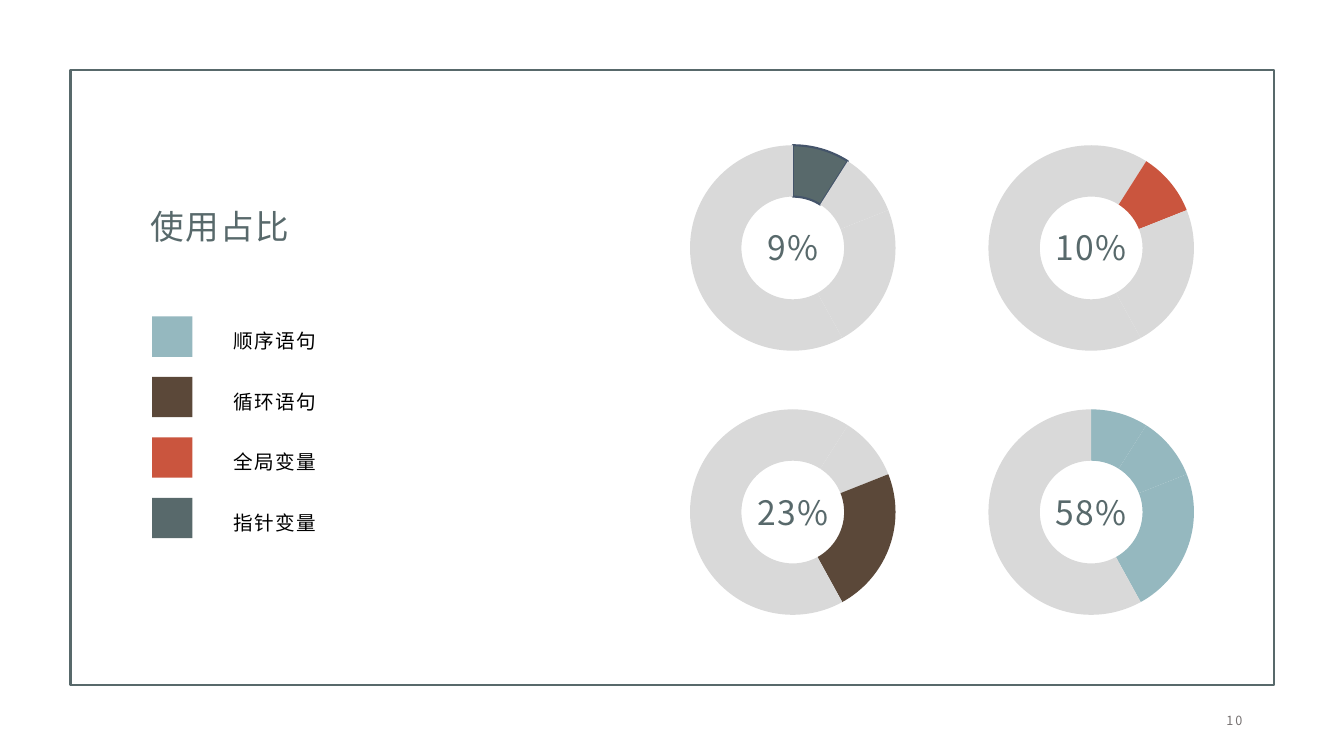
import pptx
import pptx.chart.data
import pptx.dml.color
import pptx.enum.chart
import pptx.enum.shapes
import pptx.enum.text
import pptx.oxml
import pptx.oxml.ns
import pptx.util
from pptx.util import Inches

THEME = {
    "font": "Noto Sans CJK SC",
    "slate": "58696B", "blue": "95B8BF", "brown": "5B4839", "red": "CA553E",
    "grey": "D9D9D9", "edge": "44546A", "black": "000000", "muted": "767171",
    "heading_size": 24, "label_size": 14, "number_size": 9, "chart_size": 10,
}
TITLE = "使用占比"
PAGE_NUMBER = "10"
LEGEND = [("顺序语句", "blue"), ("循环语句", "brown"), ("全局变量", "red"), ("指针变量", "slate")]
CATEGORIES = ["1", "2", "3", "4"]
SHARES = [9, 10, 23, 58]
# column, row, centre text, slice colours, edge colour of the first slice
DONUTS = [
    (0, 0, "9%", ["slate", "grey", "grey", "grey"], "edge"),
    (1, 0, "10%", ["grey", "red", "grey", "grey"], None),
    (0, 1, "23%", ["grey", "grey", "brown", "grey"], None),
    (1, 1, "58%", ["blue", "blue", "blue", "grey"], None),
]
CHART_WIDTH, CHART_HEIGHT, RING = 3.45, 2.3, 2.04
CHART_LEFT, CHART_TOP, COLUMN_STEP, ROW_STEP = 6.14, 1.31, 2.96, 2.62
CAPTION_SIZE = 1.95
LEGEND_TOP, LEGEND_STEP, SWATCH = 3.1, 0.6, 0.4

ALIGN = pptx.enum.text.PP_ALIGN
ANCHOR = pptx.enum.text.MSO_ANCHOR


def color(name):
    return pptx.dml.color.RGBColor.from_string(THEME[name])


def box(left, top, width, height):
    return [Inches(value) for value in (left, top, width, height)]


def add_text(slide, place, text, size, ink, line_spacing=1.0, align=ALIGN.LEFT,
             anchor=ANCHOR.MIDDLE, tracking=1):
    """Add a one-line text box; tracking is letter spacing in points."""
    frame = slide.shapes.add_textbox(*box(*place)).text_frame
    paragraph = frame.paragraphs[0]
    run = paragraph.add_run()
    formats = [
        (frame, {"word_wrap": True, "vertical_anchor": anchor}),
        (paragraph, {"alignment": align, "line_spacing": line_spacing}),
        (run, {"text": text}),
        (run.font, {"name": THEME["font"], "size": pptx.util.Pt(THEME[size])}),
        (run.font.color, {"rgb": color(ink)}),
    ]
    for target, values in formats:
        for name, value in values.items():
            setattr(target, name, value)
    properties = run.font._element
    properties.set("spc", str(int(tracking * 100)))
    east_asian = pptx.oxml.parse_xml(
        f'<a:ea {pptx.oxml.ns.nsdecls("a")} typeface="{THEME["font"]}"/>')
    properties.find(pptx.oxml.ns.qn("a:latin")).addnext(east_asian)


def add_rectangle(slide, place, fill=None, line=None):
    shape = slide.shapes.add_shape(pptx.enum.shapes.MSO_SHAPE.RECTANGLE, *box(*place))
    shape.shadow.inherit = False
    if fill:
        shape.fill.solid()
        shape.fill.fore_color.rgb = color(fill)
    else:
        shape.fill.background()
    if line:
        shape.line.color.rgb = color(line)
        shape.line.width = pptx.util.Pt(1.5)
    else:
        shape.line.fill.background()


def place_ring(chart):
    """Centre the ring in the chart frame and set its hole."""
    width, height = RING / CHART_WIDTH, RING / CHART_HEIGHT
    sizes = {"x": (1 - width) / 2, "y": (1 - height) / 2, "w": width, "h": height}
    values = "".join(f'<c:{name} val="{size:.3f}"/>' for name, size in sizes.items())
    layout = pptx.oxml.parse_xml(
        f'<c:layout {pptx.oxml.ns.nsdecls("c")}><c:manualLayout>'
        '<c:layoutTarget val="inner"/><c:xMode val="edge"/><c:yMode val="edge"/>'
        f'{values}</c:manualLayout></c:layout>')
    plot_area = chart.element.find(".//" + pptx.oxml.ns.qn("c:plotArea"))
    for previous in plot_area.findall(pptx.oxml.ns.qn("c:layout")):
        plot_area.remove(previous)
    plot_area.insert(0, layout)
    plot_area.find(".//" + pptx.oxml.ns.qn("c:holeSize")).set("val", "75")


def add_donut(slide, left, top, slice_colors, edge):
    data = pptx.chart.data.CategoryChartData()
    data.categories = CATEGORIES
    data.add_series("Series 1", SHARES)
    chart = slide.shapes.add_chart(
        pptx.enum.chart.XL_CHART_TYPE.DOUGHNUT,
        *box(left, top, CHART_WIDTH, CHART_HEIGHT), data).chart
    chart.has_legend = False
    chart.has_title = False
    chart.font.name = THEME["font"]
    chart.font.size = pptx.util.Pt(THEME["chart_size"])
    chart.font.color.rgb = color("black")
    plot = chart.plots[0]
    plot.vary_by_categories = True
    for index, name in enumerate(slice_colors):
        style = plot.series[0].points[index].format
        style.fill.solid()
        style.fill.fore_color.rgb = color(name)
        if edge and index == 0:
            style.line.color.rgb = color(edge)
            style.line.width = pptx.util.Pt(1.5)
        else:
            style.line.fill.background()
    place_ring(chart)


def main():
    presentation = pptx.Presentation()
    presentation.slide_width = Inches(13.33)
    presentation.slide_height = Inches(7.5)
    slide = presentation.slides.add_slide(presentation.slide_layouts[6])

    add_rectangle(slide, (0.7, 0.69, 11.94, 6.11), line="slate")
    add_text(slide, (1.39, 1.5, 4.46, 1.39), TITLE, "heading_size", "slate", 1.25)
    for index, (label, name) in enumerate(LEGEND):
        top = LEGEND_TOP + index * LEGEND_STEP
        add_text(slide, (2.22, top, 1.95, 0.47), label, "label_size", "black", 1.5,
                 anchor=ANCHOR.TOP)
        add_rectangle(slide, (1.51, top + 0.04, SWATCH, SWATCH), fill=name)

    for column, row, caption, slice_colors, edge in DONUTS:
        left = CHART_LEFT + column * COLUMN_STEP
        top = CHART_TOP + row * ROW_STEP
        add_donut(slide, left, top, slice_colors, edge)
        caption_left = left + (CHART_WIDTH - CAPTION_SIZE) / 2
        add_text(slide, (caption_left, top + 0.12, CAPTION_SIZE, CAPTION_SIZE),
                 caption, "heading_size", "slate", 1.25, ALIGN.CENTER)

    add_text(slide, (9.42, 6.95, 3, 0.4), PAGE_NUMBER, "number_size", "muted",
             align=ALIGN.RIGHT, tracking=1.5)
    presentation.save("out.pptx")


if __name__ == "__main__":
    main()
